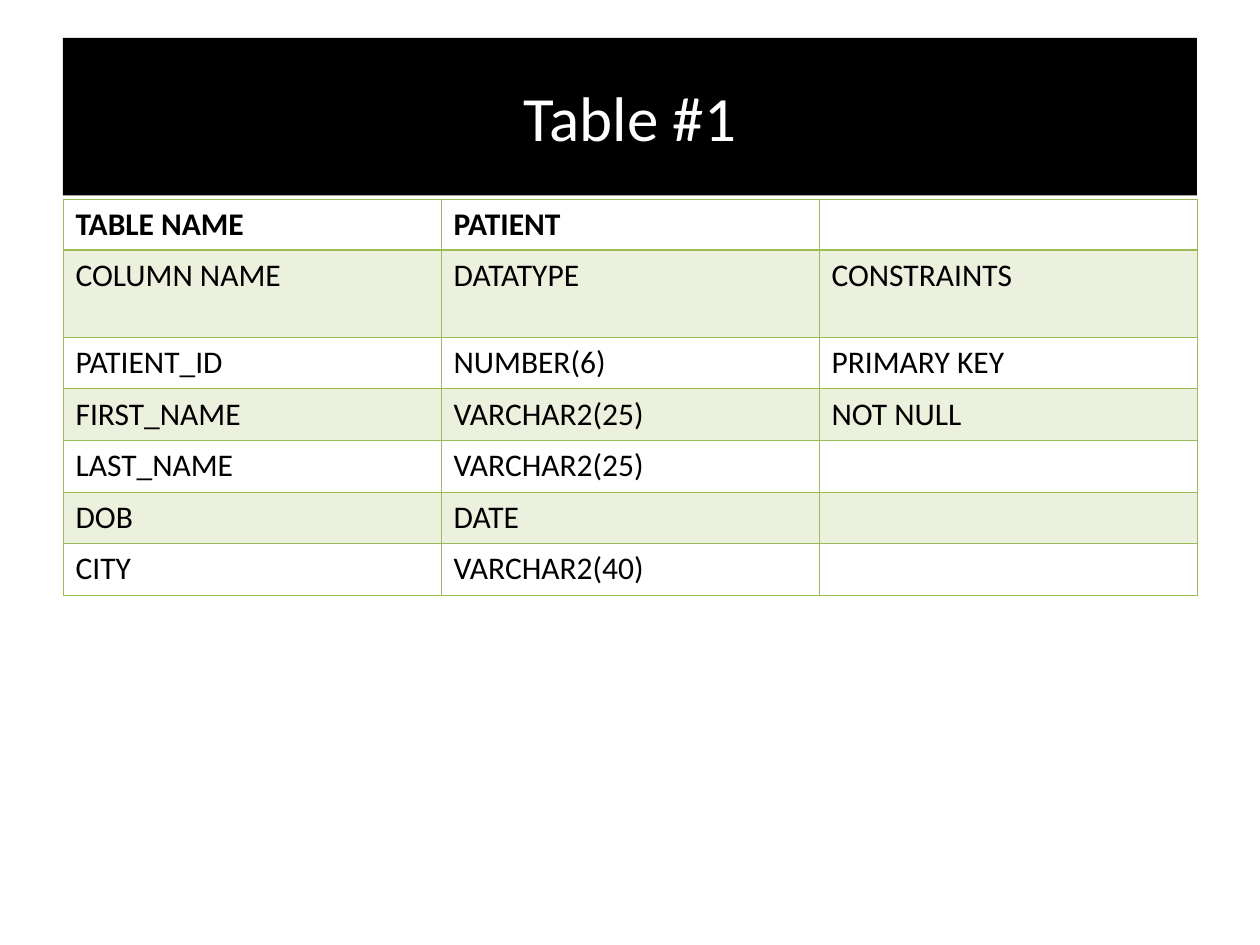
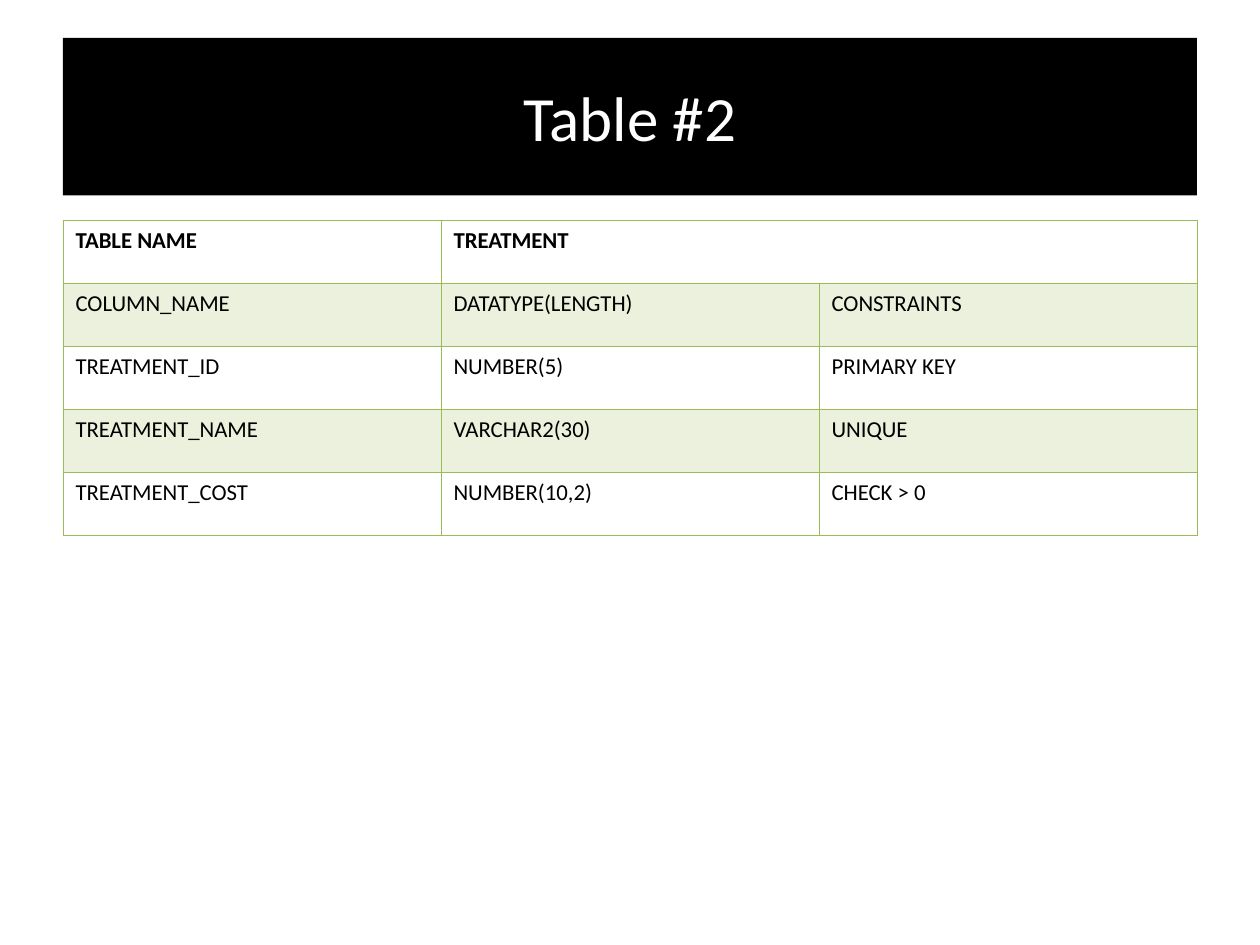
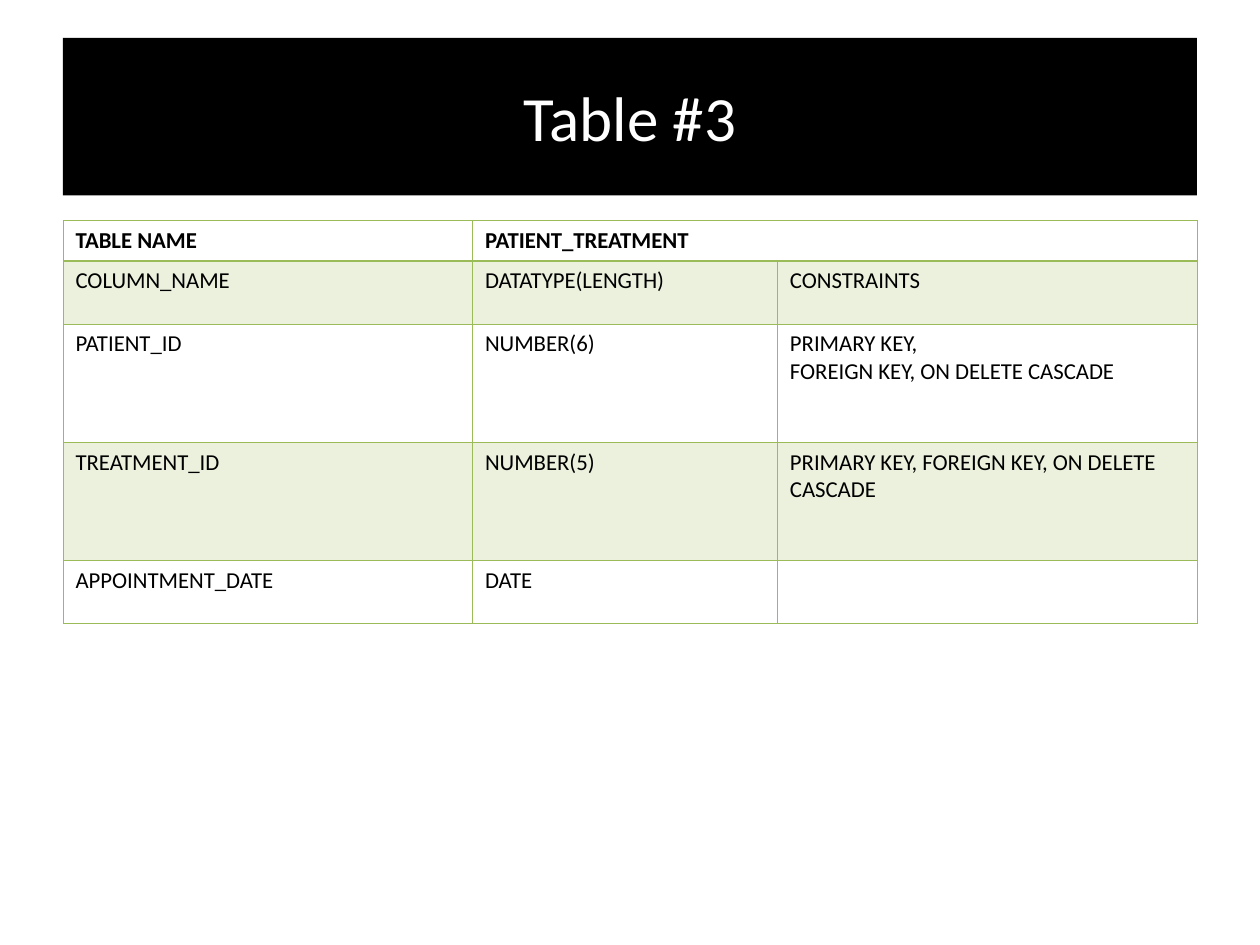
from dataclasses import dataclass

from lxml.etree import SubElement
from pptx import Presentation
from pptx.dml.color import RGBColor
from pptx.enum.shapes import MSO_SHAPE
from pptx.enum.text import MSO_ANCHOR, PP_ALIGN
from pptx.oxml.ns import qn
from pptx.util import Inches, Pt

# Content: one entry per slide
SLIDES = [
    {
        "title": "Table #1", "top": 1.58, "text_size": 18, "merge_name": False,
        "columns": [3, 3, 3],
        "row_heights": [0.4, 0.69, 0.41, 0.41, 0.41, 0.41, 0.41],
        "rows": [
            ("TABLE NAME", "PATIENT", ""),
            ("COLUMN NAME", "DATATYPE", "CONSTRAINTS"),
            ("PATIENT_ID", "NUMBER(6)", "PRIMARY KEY"),
            ("FIRST_NAME", "VARCHAR2(25)", "NOT NULL"),
            ("LAST_NAME", "VARCHAR2(25)", ""),
            ("DOB", "DATE", ""),
            ("CITY", "VARCHAR2(40)", ""),
        ],
    },
    {
        "title": "Table #2", "top": 1.75, "text_size": 13, "merge_name": True,
        "columns": [3, 3, 3],
        "row_heights": [0.5] * 5,
        "rows": [
            ("TABLE NAME", "TREATMENT", ""),
            ("COLUMN_NAME", "DATATYPE(LENGTH)", "CONSTRAINTS"),
            ("TREATMENT_ID", "NUMBER(5)", "PRIMARY KEY"),
            ("TREATMENT_NAME", "VARCHAR2(30)", "UNIQUE"),
            ("TREATMENT_COST", "NUMBER(10,2)", "CHECK > 0"),
        ],
    },
    {
        "title": "Table #3", "top": 1.75, "text_size": 13, "merge_name": True,
        "columns": [3.25, 2.42, 3.33],
        "row_heights": [0.32, 0.5, 0.94, 0.94, 0.5],
        "rows": [
            ("TABLE NAME", "PATIENT_TREATMENT", ""),
            ("COLUMN_NAME", "DATATYPE(LENGTH)", "CONSTRAINTS"),
            ("PATIENT_ID", "NUMBER(6)", "PRIMARY KEY,\nFOREIGN KEY, ON DELETE CASCADE"),
            ("TREATMENT_ID", "NUMBER(5)", "PRIMARY KEY, FOREIGN KEY, ON DELETE CASCADE"),
            ("APPOINTMENT_DATE", "DATE", ""),
        ],
    },
]


@dataclass(frozen=True)
class Theme:
    font: str = "Calibri"
    title_size: int = 36
    band: RGBColor = RGBColor(0, 0, 0)
    title_text: RGBColor = RGBColor(255, 255, 255)
    table_text: RGBColor = RGBColor(0, 0, 0)
    accent: RGBColor = RGBColor(0x9B, 0xBB, 0x59)
    stripe_alpha: int = 20000
    thin: float = 0.45
    thick: float = 0.96
    left: float = 0.5
    width: float = 9


THEME = Theme()


def style_text(text_frame, size, color, bold=False):
    for para in text_frame.paragraphs:
        for span in para.runs:
            span.font.name = THEME.font
            span.font.size = Pt(size)
            span.font.color.rgb = color
            span.font.bold = bold
        # An empty cell keeps the table's text size
        if not para.runs:
            SubElement(para._p, qn("a:endParaRPr"), sz=str(size * 100))


def add_title(page, title):
    box = page.shapes.add_shape(MSO_SHAPE.RECTANGLE, Inches(THEME.left), Inches(0.3),
                                Inches(THEME.width), Inches(1.25))
    box.shadow.inherit = False
    box.fill.solid()
    box.fill.fore_color.rgb = THEME.band
    box.line.fill.background()
    box.text_frame.text = title
    box.text_frame.vertical_anchor = MSO_ANCHOR.MIDDLE
    box.text_frame.paragraphs[0].alignment = PP_ALIGN.CENTER
    style_text(box.text_frame, THEME.title_size, THEME.title_text)


def set_borders(cell, row_number):
    widths = {
        "L": THEME.thin,
        "R": THEME.thin,
        "T": THEME.thick if row_number == 1 else THEME.thin,
        "B": THEME.thick if row_number == 0 else THEME.thin,
    }
    properties = cell._tc.get_or_add_tcPr()
    for side, width in widths.items():
        line = SubElement(properties, qn(f"a:ln{side}"), w=str(Pt(width)))
        fill = SubElement(line, qn("a:solidFill"))
        SubElement(fill, qn("a:srgbClr"), val=str(THEME.accent))


def set_fill(cell, striped):
    if not striped:
        cell.fill.background()
        return
    cell.fill.solid()
    cell.fill.fore_color.rgb = THEME.accent
    color = cell._tc.tcPr.find(qn("a:solidFill")).find(qn("a:srgbClr"))
    SubElement(color, qn("a:alpha"), val=str(THEME.stripe_alpha))


def add_schema_table(page, content):
    rows, columns, heights = content["rows"], content["columns"], content["row_heights"]
    table = page.shapes.add_table(len(rows), len(columns), Inches(THEME.left),
                                  Inches(content["top"]), Inches(THEME.width),
                                  Inches(sum(heights))).table
    table.first_row = table.horz_banding = False
    for column, width in zip(table.columns, columns):
        column.width = Inches(width)
    for row_number, (row, height, texts) in enumerate(zip(table.rows, heights, rows)):
        row.height = Inches(height)
        for cell, text in zip(row.cells, texts):
            cell.text_frame.text = text
            style_text(cell.text_frame, content["text_size"], THEME.table_text,
                       bold=row_number == 0)
            set_borders(cell, row_number)
            set_fill(cell, striped=row_number % 2 == 1)
    if content["merge_name"]:
        table.cell(0, 1).merge(table.cell(0, 2))


def main():
    deck = Presentation()
    deck.slide_width, deck.slide_height = Inches(10), Inches(7.5)
    for content in SLIDES:
        page = deck.slides.add_slide(deck.slide_layouts[6])
        add_title(page, content["title"])
        add_schema_table(page, content)
    deck.save("out.pptx")


if __name__ == "__main__":
    main()
